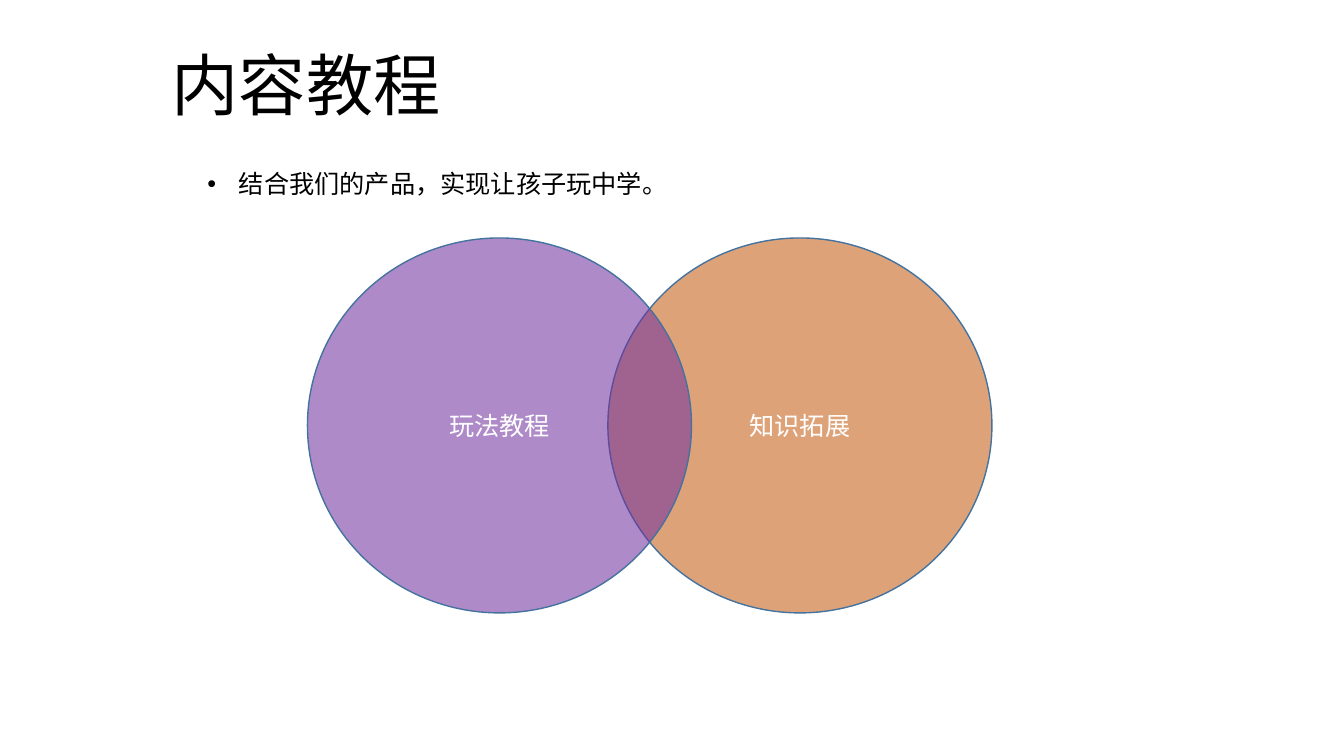
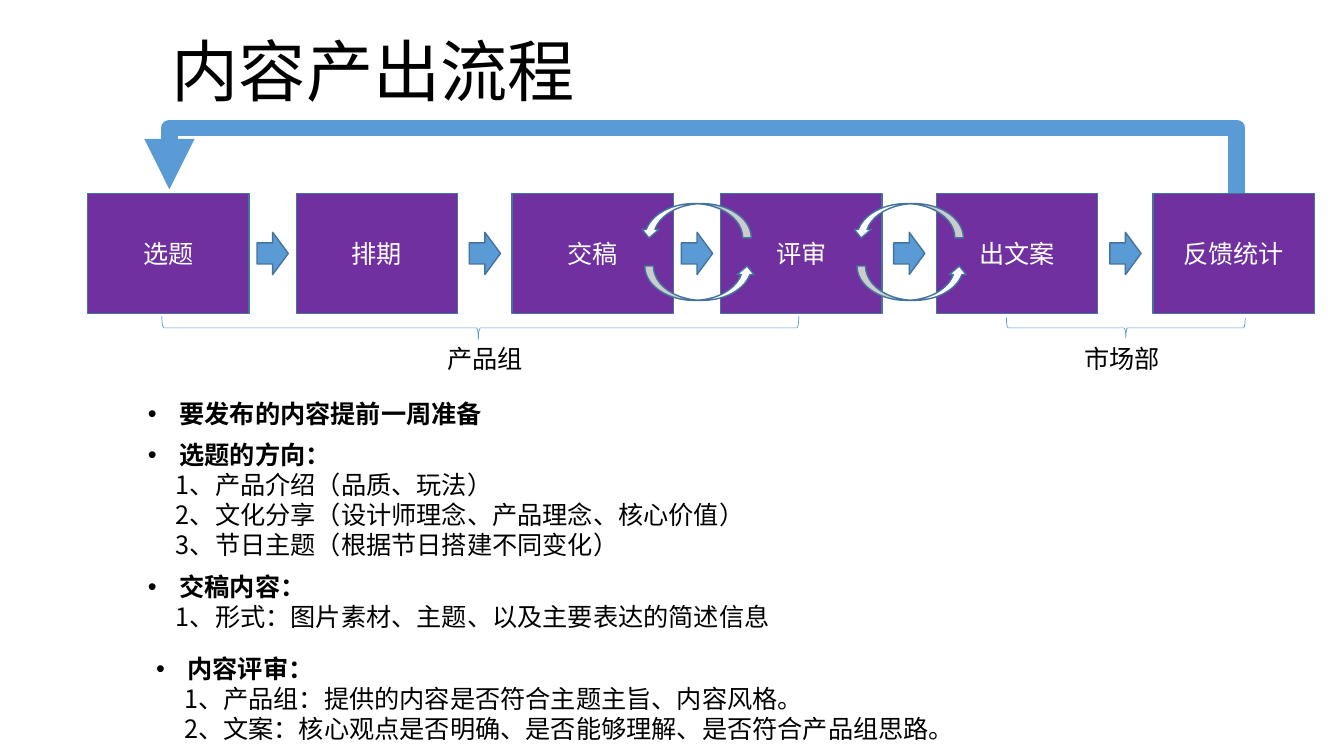
from lxml import etree
from pptx import Presentation
from pptx.dml.color import RGBColor
from pptx.enum import shapes, text
from pptx.oxml.ns import qn
from pptx.util import Pt

COLORS = {
    "ink": "000000", "white": "FFFFFF", "purple": "7030A0",
    "orange": "C55A11", "blue": "5B9BD5", "outline": "43739E",
}
CJK = "Noto Sans CJK SC"
BODY, TITLE = 18, 48
LINE_FACTOR = 1.19
SHAPE = shapes.MSO_SHAPE
LEFT, CENTER = text.PP_ALIGN.LEFT, text.PP_ALIGN.CENTER

# Slide 1: label, left edge, fill
CIRCLES = [("知识拓展", 434.2, "orange"), ("玩法教程", 219.6, "purple")]
CIRCLE_TOP, CIRCLE_W, CIRCLE_H = 170, 274.3, 267.8

# Slide 2: step name, left edge
STEPS = [("选题", 62.6), ("排期", 211.7), ("交稿", 365.8),
         ("评审", 514.8), ("出文案", 668.9), ("反馈统计", 823.7)]
STEP_TOP, STEP_W, STEP_H = 138.2, 115.2, 85.7
ARROW_W, ARROW_H = 22.3, 30.2
REVIEW_GAPS = (2, 3)
# rotation, shift from the gap's centre, centre height
LOOP_ARROWS = [(90, -0.8, 157.7), (270, 2.3, 202.3)]
LOOP_W, LOOP_H = 24.5, 79.2
# brace centre x, depth, span, adjustments, team name, name centre x
TEAMS = [(343.1, 16.6, 455, (0.083, 0.497), "产品组", 346.3),
         (804.2, 14.4, 170.6, (), "市场部", 801.4)]
BRACE_Y, TEAM_TOP, TEAM_W = 234.2, 242, 100
FEEDBACK_START, FEEDBACK_END, FEEDBACK_TOP = (883.5, 138.2), (121, 135.3), 91.4
# left, top, heading, numbered lines
NOTES = [
    (98.6, 281.3, "要发布的内容提前一周准备", []),
    (98.6, 310.6, "选题的方向：", [
        "1、产品介绍（品质、玩法）",
        "2、文化分享（设计师理念、产品理念、核心价值）",
        "3、节日主题（根据节日搭建不同变化）"]),
    (98.6, 405, "交稿内容：", ["1、形式：图片素材、主题、以及主要表达的简述信息"]),
    (104.4, 463.4, "内容评审：", [
        "1、产品组：提供的内容是否符合主题主旨、内容风格。",
        "2、文案：核心观点是否明确、是否能够理解、是否符合产品组思路。"]),
]


def rgb(name):
    return RGBColor.from_string(COLORS[name])


def add_run(p, words, size=BODY, color="ink", font=CJK, bold=False):
    r = p.add_run()
    r.text = words
    r.font.size, r.font.bold, r.font.name = Pt(size), bold, font
    r.font.color.rgb = rgb(color)
    etree.SubElement(r._r.get_or_add_rPr(), qn("a:ea"), typeface=CJK)


def set_indent(p, left, bullet=False):
    pPr = p._p.get_or_add_pPr()
    pPr.set("marL", str(Pt(left)))
    pPr.set("indent", str(-Pt(left) if bullet else 0))
    if bullet:
        etree.SubElement(pPr, qn("a:buFont"), typeface="Arial")
        etree.SubElement(pPr, qn("a:buChar"), char="•")


def add_text(slide, x, y, w, lines, size=BODY, align=LEFT):
    """Each line is (words, kind), where kind is plain, bullet, heading or item."""
    height = len(lines) * size * LINE_FACTOR + 7.2
    tf = slide.shapes.add_textbox(Pt(x), Pt(y), Pt(w), Pt(height)).text_frame
    tf.word_wrap = True
    for i, (words, kind) in enumerate(lines):
        p = tf.add_paragraph() if i else tf.paragraphs[0]
        if kind in ("bullet", "heading"):
            set_indent(p, 22.5, bullet=True)
        elif kind == "item":
            set_indent(p, 20)
        p.alignment = align
        p.line_spacing = Pt(size * LINE_FACTOR)
        add_run(p, words, size, bold=kind == "heading")


def add_title(slide, y, words):
    add_text(slide, 115.5, y, 400, [(words, "plain")], TITLE)


def add_shape(slide, kind, x, y, w, h, fill=None, line="outline", weight=1,
              label=None, font=CJK):
    sp = slide.shapes.add_shape(kind, Pt(x), Pt(y), Pt(w), Pt(h))
    sp.shadow.inherit = False
    if fill:
        sp.fill.solid()
        sp.fill.fore_color.rgb = rgb(fill)
    else:
        sp.fill.background()
    sp.line.color.rgb = rgb(line)
    sp.line.width = Pt(weight)
    if label:
        tf = sp.text_frame
        tf.vertical_anchor = text.MSO_ANCHOR.MIDDLE
        tf.paragraphs[0].alignment = CENTER
        add_run(tf.paragraphs[0], label, color="white", font=font)
    return sp


def add_centered(slide, kind, cx, cy, w, h, **style):
    return add_shape(slide, kind, cx - w / 2, cy - h / 2, w, h, **style)


def set_alpha(sp, percent):
    color = sp._element.spPr.find(qn("a:solidFill"))[0]
    etree.SubElement(color, qn("a:alpha"), val=str(percent * 1000))


def add_feedback_arrow(slide):
    """Three-part elbow: up from the last step, across, and down to the first."""
    (x1, y1), (x2, y2) = FEEDBACK_START, FEEDBACK_END
    w, h = y1 - y2, x1 - x2
    left, top = (x1 + x2 - w) / 2, (y1 + y2 - h) / 2
    cn = slide.shapes.add_connector(shapes.MSO_CONNECTOR.ELBOW, Pt(left), Pt(top),
                                    Pt(left + w), Pt(top + h))
    cn.line.color.rgb = rgb("blue")
    cn.line.width = Pt(12)
    spPr = cn._element.spPr
    xfrm = spPr.find(qn("a:xfrm"))
    xfrm.set("rot", str(270 * 60000))
    xfrm.set("flipV", "1")
    bend = round((y1 - FEEDBACK_TOP) / w * 100000)
    guides = spPr.find(qn("a:prstGeom")).find(qn("a:avLst"))
    etree.SubElement(guides, qn("a:gd"), name="adj1", fmla=f"val {bend}")
    etree.SubElement(spPr.find(qn("a:ln")), qn("a:tailEnd"), type="triangle")
    etree.SubElement(spPr, qn("a:effectLst"))


def build_tutorials(slide):
    add_title(slide, 28, "内容教程")
    add_text(slide, 141, 117, 400, [("结合我们的产品，实现让孩子玩中学。", "bullet")])
    for label, x, fill in CIRCLES:
        sp = add_shape(slide, SHAPE.FLOWCHART_CONNECTOR, x, CIRCLE_TOP, CIRCLE_W,
                       CIRCLE_H, fill=fill, label=label, font="Calibri")
        set_alpha(sp, 56)


def build_workflow(slide):
    for label, x in STEPS:
        add_shape(slide, SHAPE.RECTANGLE, x, STEP_TOP, STEP_W, STEP_H,
                  fill="purple", label=label)
    gaps = [(x + STEP_W + after) / 2
            for (_, x), (_, after) in zip(STEPS, STEPS[1:])]
    for cx in gaps:
        add_centered(slide, SHAPE.RIGHT_ARROW, cx, STEP_TOP + STEP_H / 2,
                     ARROW_W, ARROW_H, fill="blue")
    add_feedback_arrow(slide)

    for cx, depth, span, adjustments, team, name_x in TEAMS:
        brace = add_centered(slide, SHAPE.LEFT_BRACE, cx, BRACE_Y, depth, span,
                             line="blue", weight=0.5)
        brace.rotation = 270
        for i, value in enumerate(adjustments):
            brace.adjustments[i] = value
        add_text(slide, name_x - TEAM_W / 2, TEAM_TOP, TEAM_W,
                 [(team, "plain")], align=CENTER)

    for gap in REVIEW_GAPS:
        for rotation, shift, cy in LOOP_ARROWS:
            loop = add_centered(slide, SHAPE.CURVED_LEFT_ARROW, gaps[gap] + shift,
                                cy, LOOP_W, LOOP_H, fill="white")
            loop.rotation = rotation
            loop._element.spPr.find(qn("a:xfrm")).set("flipH", "1")

    for x, y, heading, items in NOTES:
        lines = [(heading, "heading")] + [(item, "item") for item in items]
        add_text(slide, x, y, 640, lines)
    add_title(slide, 18, "内容产出流程")


def main():
    prs = Presentation()
    prs.slide_width, prs.slide_height = Pt(960), Pt(540)
    for build in (build_tutorials, build_workflow):
        build(prs.slides.add_slide(prs.slide_layouts[6]))
    prs.save("out.pptx")


if __name__ == "__main__":
    main()
